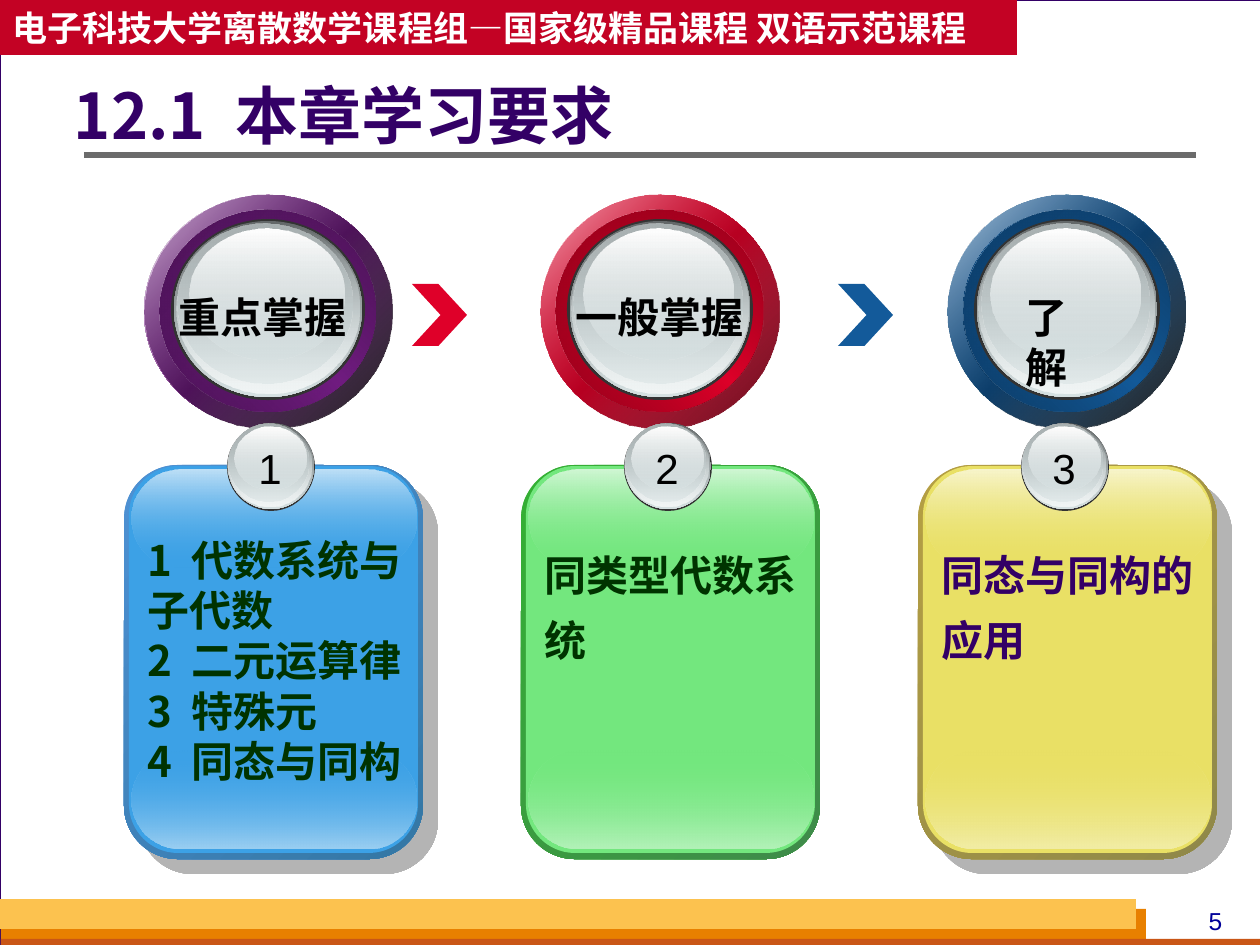
from dataclasses import dataclass
from typing import NamedTuple, Optional, Union

from pptx import Presentation
from pptx import util as u
from pptx.dml.color import RGBColor
from pptx.enum import shapes, text
from pptx.oxml import ns
from lxml import etree

EMU_PER_PX = 914400 / 126


class Stop(NamedTuple):
    position: int
    color: str
    opacity: int = 100


class Gradient(NamedTuple):
    angle: int
    stops: tuple


class Box(NamedTuple):
    left: int
    top: int
    width: int
    height: int


Fill = Union[str, Gradient]


@dataclass(frozen=True)
class Theme:
    white: str = "FFFFFF"
    black: str = "000000"
    background: str = "D8DADA"
    purple: str = "330066"
    green: str = "003300"
    gray: str = "6B6B6B"
    banner: str = "C30224"
    bars: tuple = ("E88000", "C95616", "FCC24F")
    page_number: str = "000099"
    edge: str = "333333"
    chevrons: tuple = ("DF0029", "135A9A")
    latin: str = "Arial"
    chinese: str = "Noto Sans CJK SC"
    title_size: int = 36
    body_size: int = 24
    banner_size: int = 20
    page_size: int = 14


THEME = Theme()


@dataclass(frozen=True)
class Style:
    size: int
    color: str
    font: str = THEME.chinese
    bold: bool = True
    centered: bool = False
    line_spacing: Optional[float] = None
    tab: Optional[int] = None


@dataclass(frozen=True)
class Column:
    number: str
    ring_left: int
    ring_width: int
    ring_color: str
    ring_dark: Stop
    ring_shades: tuple
    label: str
    label_box: Box
    panel_color: str
    panel_edge: tuple
    panel_shine: tuple
    shadow: bool
    lines: tuple
    body_height: int
    body_style: Style


SINGLE = Style(THEME.body_size, THEME.green, line_spacing=1.3)
COLUMNS = (
    Column("1", 144, 248, "711C81", Stop(100, "000000", 90), ("3D0F46", "481252"),
           "重点掌握", Box(166, 285, 203, 63), "3CA1E6", ("4E91D4", "3477A4"),
           ("BEE0F7", "9BCFF2"), True,
           ("1\t代数系统与子代数", "2\t二元运算律", "3\t特殊元", "4\t同态与同构"),
           265, Style(THEME.body_size, THEME.green, tab=44)),
    Column("2", 541, 238, "DF0029", Stop(100, "670013"), ("790016", "8E001A"),
           "一般掌握", Box(563, 285, 197, 63), "73E77E", ("34B034", "3F8B4A"),
           ("D0F7D4", "B3F2B9"), False, ("同类型代数系统",), 144, SINGLE),
    Column("3", 948, 238, "135A9A", Stop(100, "000000", 90), ("0A3153", "0C3962"),
           "了解", Box(1013, 285, 108, 63), "E9E065", ("B59F43", "8F8849"),
           ("F8F5CC", "F2EDA6"), True, ("同态与同构的应用",), 144,
           Style(THEME.body_size, THEME.purple, line_spacing=1.3)),
)
PANEL_LEFT, PANEL_STEP = 124, 397
RING_TOP, RING_WIDTH = 195, 238

# Glass button: five stacked discs, from the dark edge to the highlight
GLASS_FILLS = (
    THEME.edge,
    Gradient(90, (Stop(0, "636869"), Stop(100, "D6E1E2"))),
    Gradient(90, (Stop(0, "D6E1E2", 0), Stop(100, "F1F5F5"))),
    Gradient(90, (Stop(0, "AAB2B3"), Stop(100, "D6E1E2", 48))),
    Gradient(90, (Stop(0, "FFFFFF"), Stop(100, "D6E1E2", 38))),
)
RING_GLASS = (Box(26, 24, 186, 181), Box(29, 26, 180, 176), Box(31, 28, 176, 171),
              Box(33, 29, 168, 160), Box(43, 34, 149, 130))
BADGE_GLASS = (Box(0, 0, 88, 88), Box(1, 0, 86, 86), Box(1, 1, 83, 83),
               Box(2, 1, 79, 78), Box(8, 4, 71, 63))


def px(length: float) -> u.Emu:
    return u.Emu(round(length * EMU_PER_PX))


def element(parent, tag: str, **attributes):
    return etree.SubElement(parent, ns.qn(tag), attributes)


def paint(shape, fill: Fill) -> None:
    if isinstance(fill, str):
        shape.fill.solid()
        shape.fill.fore_color.rgb = RGBColor.from_string(fill)
        return
    shape.fill.gradient()
    gradient = shape._element.spPr.find(ns.qn("a:gradFill"))
    gradient.find(ns.qn("a:lin")).set("ang", str(fill.angle * 60000))
    stop_list = gradient.find(ns.qn("a:gsLst"))
    for old_stop in list(stop_list):
        stop_list.remove(old_stop)
    for stop in fill.stops:
        node = element(stop_list, "a:gs", pos=str(stop.position * 1000))
        color = element(node, "a:srgbClr", val=stop.color)
        if stop.opacity < 100:
            element(color, "a:alpha", val=str(stop.opacity * 1000))


def add_shape(parent, kind, box: Box, fill: Fill, adjust: Optional[float] = None):
    shape = parent.shapes.add_shape(kind, *map(px, box))
    shape.shadow.inherit = False
    shape.line.fill.background()
    paint(shape, fill)
    if adjust is not None:
        shape.adjustments[0] = adjust
    return shape


def write(shape, lines: tuple, style: Style, wrap: bool = True, middle: bool = False) -> None:
    frame = shape.text_frame
    frame.word_wrap = wrap
    frame.vertical_anchor = text.MSO_ANCHOR.MIDDLE if middle else text.MSO_ANCHOR.TOP
    for index, line in enumerate(lines):
        paragraph = frame.add_paragraph() if index else frame.paragraphs[0]
        paragraph.text = line
        paragraph.alignment = text.PP_ALIGN.CENTER if style.centered else text.PP_ALIGN.LEFT
        properties = paragraph._p.get_or_add_pPr()
        if style.tab:
            element(element(properties, "a:tabLst"), "a:tab", pos=str(px(style.tab)), algn="l")
        if style.line_spacing:
            paragraph.line_spacing = style.line_spacing
        paragraph.font.size = u.Pt(style.size)
        paragraph.font.bold = style.bold
        paragraph.font.color.rgb = RGBColor.from_string(style.color)
        paragraph.font.name = style.font
        element(properties.find(ns.qn("a:defRPr")), "a:ea", typeface=THEME.chinese)


def add_text(parent, box: Box, lines: tuple, style: Style, wrap: bool = True, middle: bool = False):
    shape = parent.shapes.add_textbox(*map(px, box))
    write(shape, lines, style, wrap, middle)
    return shape


def add_discs(parent, left: int, top: int, boxes: tuple, fills: tuple, stretch: float = 1) -> None:
    for box, fill in zip(boxes, fills):
        placed = Box(left + round(box.left * stretch), top + box.top,
                     round(box.width * stretch), box.height)
        add_shape(parent, shapes.MSO_SHAPE.OVAL, placed, fill)


def draw_ring(slide, column: Column) -> None:
    group = slide.shapes.add_group_shape()
    color, (shade, glow) = column.ring_color, column.ring_shades
    outer, rim = Box(0, 0, RING_WIDTH, 233), Box(15, 15, 207, 202)
    fills = (
        Gradient(45, (Stop(0, THEME.white), Stop(50, color), Stop(100, THEME.white))),
        Gradient(45, (Stop(0, color, 32), column.ring_dark)),
        Gradient(315, (Stop(0, shade), Stop(50, color), Stop(100, shade))),
        Gradient(45, (Stop(0, glow), Stop(100, color, 0))),
    )
    add_discs(group, column.ring_left, RING_TOP, (outer, outer, rim, rim) + RING_GLASS,
              fills + GLASS_FILLS, column.ring_width / RING_WIDTH)
    add_text(group, column.label_box, (column.label,),
             Style(THEME.body_size, THEME.black, THEME.latin), wrap=False)


def add_shadow(shape) -> None:
    effects = shape._element.spPr.find(ns.qn("a:effectLst"))
    shadow = element(effects, "a:outerShdw", dist=str(u.Pt(12.1)), dir="2700000", algn="ctr")
    element(element(shadow, "a:srgbClr", val=THEME.gray), "a:alpha", val="50000")


def draw_panel(slide, column: Column, left: int) -> None:
    group = slide.shapes.add_group_shape()
    rounded = shapes.MSO_SHAPE.ROUNDED_RECTANGLE
    color, (top_shine, bottom_shine) = column.panel_color, column.panel_shine
    edge = Gradient(45, (Stop(0, column.panel_edge[0]), Stop(100, column.panel_edge[1])))
    frame = add_shape(group, rounded, Box(left, 465, 299, 394), edge, 0.18)
    if column.shadow:
        add_shadow(frame)
    add_shape(group, rounded, Box(left + 5, 466, 289, 387), color, 0.17)
    add_shape(group, rounded, Box(left + 7, 751, 285, 98),
              Gradient(90, (Stop(0, color, 0), Stop(100, bottom_shine))), 0.5)
    add_shape(group, rounded, Box(left + 7, 470, 285, 97),
              Gradient(90, (Stop(0, top_shine), Stop(100, color, 0))), 0.5)
    add_discs(group, left + 103, 423, BADGE_GLASS, GLASS_FILLS)
    add_text(group, Box(left + 122, 436, 48, 63), (column.number,),
             Style(THEME.body_size, THEME.black, THEME.latin, False, True), wrap=False)
    add_text(group, Box(left + 11, 528, 283, column.body_height), column.lines, column.body_style)


def draw_frame(slide) -> None:
    rectangle = shapes.MSO_SHAPE.RECTANGLE
    # Page and footer bars
    page = add_shape(slide, rectangle, Box(0, 0, 1261, 945), THEME.white)
    page.line.color.rgb = RGBColor.from_string(THEME.purple)
    page.line.width = u.Pt(0.75)
    bars = (Box(1, 909, 1145, 36), Box(1, 939, 1260, 10), Box(0, 899, 1136, 30))
    for box, color in zip(bars, THEME.bars):
        add_shape(slide, rectangle, box, color)
    add_text(slide, Box(1176, 900, 79, 43), ("5",),
             Style(THEME.page_size, THEME.page_number, THEME.latin, False, True))
    # Title rule
    rule = slide.shapes.add_connector(shapes.MSO_CONNECTOR.STRAIGHT,
                                      px(84), px(155), px(1196), px(155))
    rule.line.color.rgb = RGBColor.from_string(THEME.gray)
    rule.line.width = u.Pt(3)
    element(rule._element.spPr, "a:effectLst")
    # Banner and title
    banner = add_shape(slide, rectangle, Box(0, 0, 1017, 55), THEME.banner)
    write(banner, ("电子科技大学离散数学课程组—国家级精品课程 双语示范课程",),
          Style(THEME.banner_size, THEME.white), wrap=False, middle=True)
    title = add_text(slide, Box(74, 76, 980, 87), ("12.1\t本章学习要求",),
                     Style(THEME.title_size, THEME.purple, line_spacing=0.9, tab=162), middle=True)
    title.text_frame.margin_left = 0


def main() -> None:
    presentation = Presentation()
    presentation.slide_width, presentation.slide_height = px(1260), px(945)
    slide = presentation.slides.add_slide(presentation.slide_layouts[6])
    slide.background.fill.solid()
    slide.background.fill.fore_color.rgb = RGBColor.from_string(THEME.background)
    draw_frame(slide)
    for left, color in zip((412, 838), THEME.chevrons):
        add_shape(slide, shapes.MSO_SHAPE.CHEVRON, Box(left, 284, 55, 62), color, 0.52)
    for index, column in enumerate(COLUMNS):
        draw_ring(slide, column)
        draw_panel(slide, column, PANEL_LEFT + index * PANEL_STEP)
    presentation.save("out.pptx")


if __name__ == "__main__":
    main()
